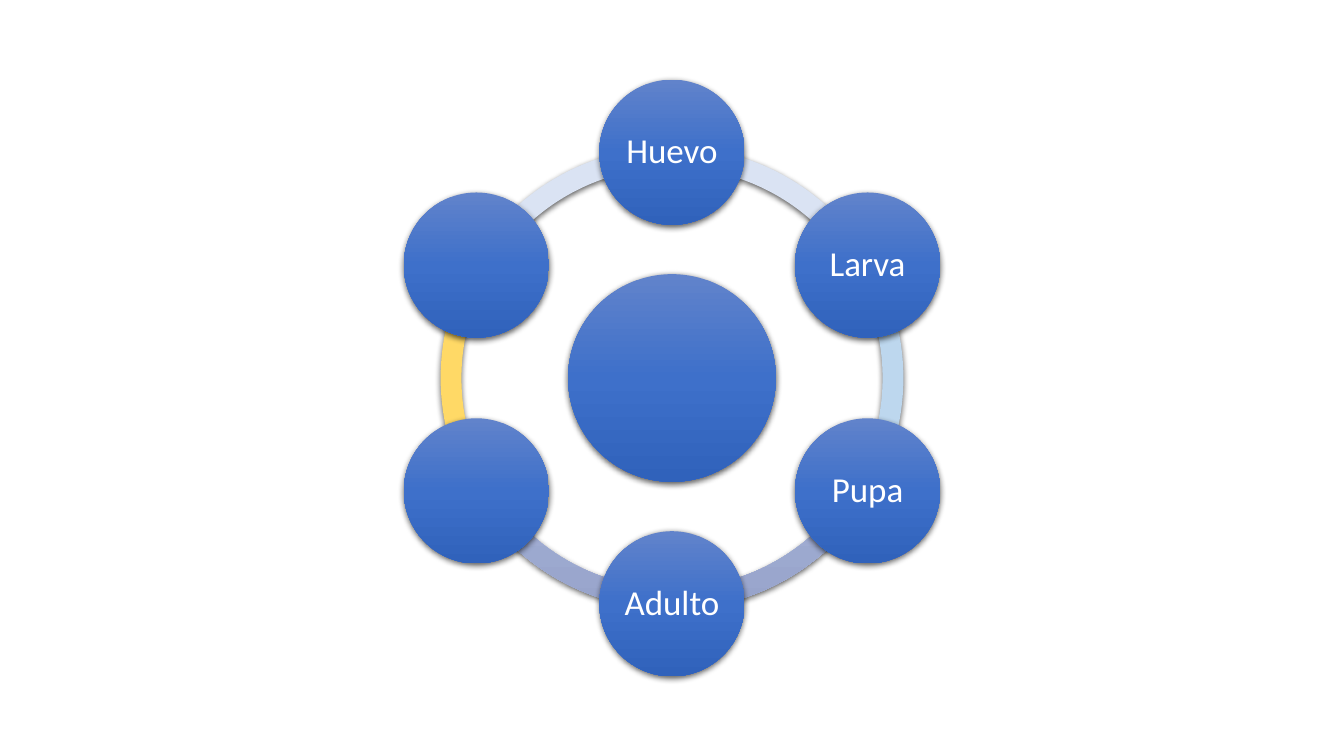
from copy import deepcopy
from math import cos, radians, sin

from lxml.etree import SubElement
from pptx import Presentation
from pptx.dml.color import RGBColor
from pptx.enum.shapes import MSO_SHAPE as Shape
from pptx.enum.text import MSO_ANCHOR, PP_ALIGN
from pptx.oxml.ns import qn
from pptx.util import Inches, Pt

SLIDE_WIDTH, SLIDE_HEIGHT = 13.33, 7.5
CENTRE_X, CENTRE_Y = SLIDE_WIDTH / 2, SLIDE_HEIGHT / 2

RING_SIZE = 4.59
RING_THICKNESS = 0.045
ORBIT_RADIUS = 2.24
HUB_SIZE = 2.06
STAGE_SIZE = 1.44
STEP = 60  # degrees between neighbouring stages

WHITE = RGBColor(0xFF, 0xFF, 0xFF)
PALE_BLUE = RGBColor(0xDA, 0xE3, 0xF3)
SKY_BLUE = RGBColor(0xBD, 0xD7, 0xEE)
GOLD = RGBColor(0xFF, 0xD9, 0x66)
LAVENDER = (RGBColor(0xBB, 0xC5, 0xE3), RGBColor(0xAE, 0xBB, 0xE0),
            RGBColor(0x98, 0xA4, 0xCB))
STAGE_BLUE = (RGBColor(0x61, 0x83, 0xCB), RGBColor(0x3E, 0x70, 0xCA),
              RGBColor(0x30, 0x62, 0xBB))

# Fills run counterclockwise, starting with the arc that ends at the top.
ARC_FILLS = [PALE_BLUE, GOLD, LAVENDER, LAVENDER, SKY_BLUE, PALE_BLUE]
# Stages run clockwise from the top; the last two carry no label.
STAGES = ["Huevo", "Larva", "Pupa", "Adulto", "", ""]


def fill_gradient(shape, colours):
    """Blend three colours from top to bottom."""
    shape.fill.gradient()
    shape.fill.gradient_angle = 270
    stop_list = shape.element.spPr.find(".//" + qn("a:gsLst"))
    stop_list.insert(1, deepcopy(stop_list[0]))
    for stop, colour, position in zip(shape.fill.gradient_stops, colours, (0, 0.5, 1)):
        stop.color.rgb = colour
        stop.position = position


def add_soft_shadow(shape):
    shape.shadow.inherit = False
    effects = shape.element.spPr.find(qn("a:effectLst"))
    shadow = SubElement(effects, qn("a:outerShdw"), blurRad=str(Pt(4.5)),
                        dist=str(Pt(1.5)), dir="5400000", algn="ctr", rotWithShape="0")
    black = SubElement(shadow, qn("a:srgbClr"), val="000000")
    SubElement(black, qn("a:alpha"), val="63000")


def add_centred(slide, kind, x, y, size, fill):
    """Add a borderless square-framed shape around the point x, y."""
    shape = slide.shapes.add_shape(kind, Inches(x - size / 2), Inches(y - size / 2),
                                   Inches(size), Inches(size))
    if isinstance(fill, RGBColor):
        shape.fill.solid()
        shape.fill.fore_color.rgb = fill
    else:
        fill_gradient(shape, fill)
    shape.line.fill.background()
    add_soft_shadow(shape)
    return shape


def add_ring_arc(slide, start, fill):
    arc = add_centred(slide, Shape.BLOCK_ARC, CENTRE_X, CENTRE_Y, RING_SIZE, fill)
    # An adjustment of 0.6 is one degree.
    arc.adjustments[0] = start % 360 * 0.6
    arc.adjustments[1] = (start + STEP) % 360 * 0.6
    arc.adjustments[2] = RING_THICKNESS


def add_stage(slide, angle, label):
    x = CENTRE_X + ORBIT_RADIUS * cos(radians(angle))
    y = CENTRE_Y + ORBIT_RADIUS * sin(radians(angle))
    stage = add_centred(slide, Shape.OVAL, x, y, STAGE_SIZE, STAGE_BLUE)
    if label:
        write_label(stage.text_frame, label)


def write_label(frame, label):
    frame.margin_left = frame.margin_right = Inches(0.03)
    frame.margin_top = frame.margin_bottom = Inches(0.03)
    frame.vertical_anchor = MSO_ANCHOR.MIDDLE
    frame.word_wrap = True
    paragraph = frame.paragraphs[0]
    paragraph.text = label
    paragraph.alignment = PP_ALIGN.CENTER
    paragraph.line_spacing = 0.9
    paragraph.font.name = "Calibri"
    paragraph.font.size = Pt(25)
    paragraph.font.color.rgb = WHITE


def main():
    presentation = Presentation()
    presentation.slide_width = Inches(SLIDE_WIDTH)
    presentation.slide_height = Inches(SLIDE_HEIGHT)
    slide = presentation.slides.add_slide(presentation.slide_layouts[6])

    for index, fill in enumerate(ARC_FILLS):
        add_ring_arc(slide, 210 - index * STEP, fill)
    add_centred(slide, Shape.OVAL, CENTRE_X, CENTRE_Y, HUB_SIZE, STAGE_BLUE)
    for index, label in enumerate(STAGES):
        add_stage(slide, index * STEP - 90, label)

    presentation.save("out.pptx")


if __name__ == "__main__":
    main()
